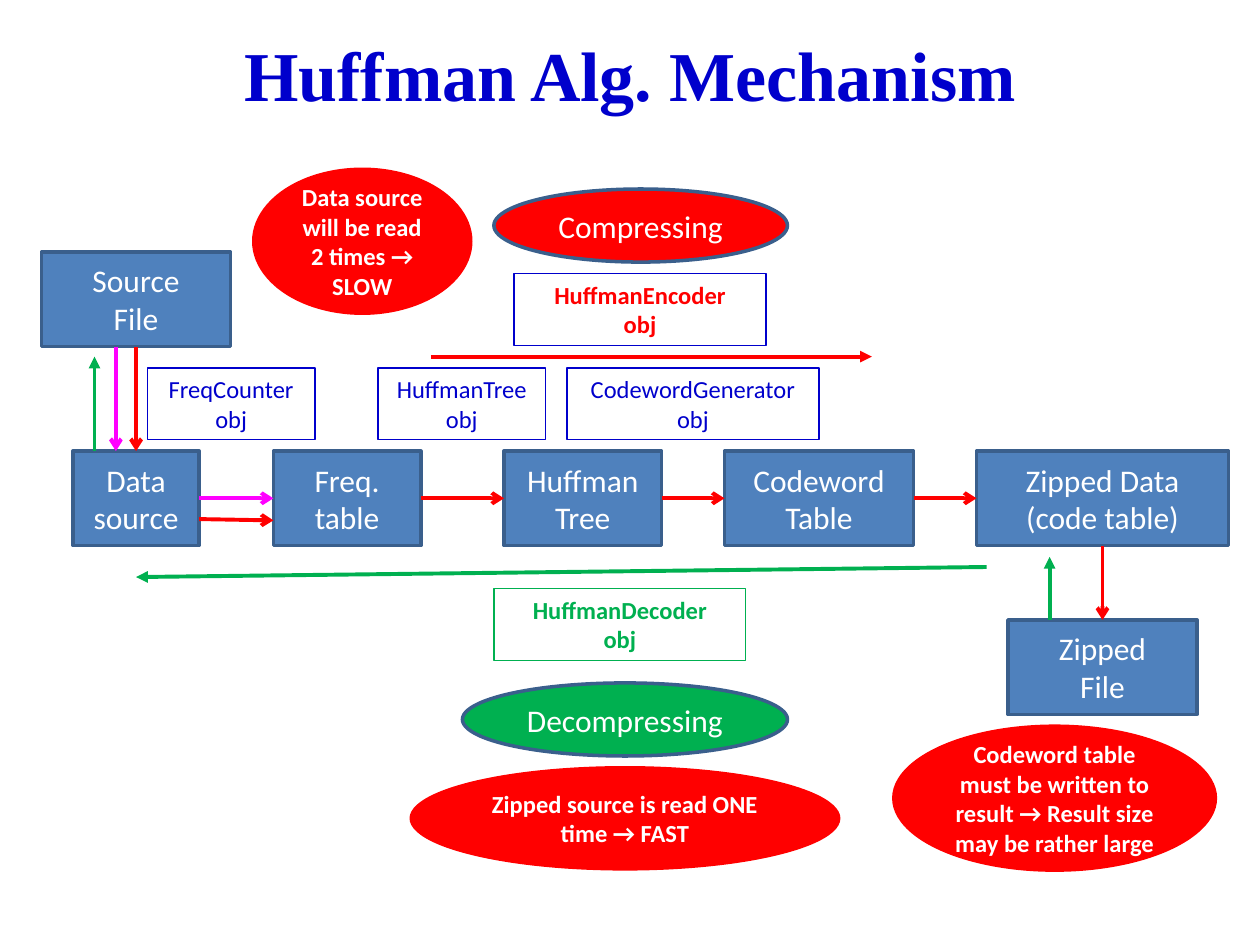
from lxml import etree
from pptx import Presentation
from pptx.dml.color import RGBColor
from pptx.enum.shapes import MSO_CONNECTOR, MSO_SHAPE
from pptx.enum.text import MSO_ANCHOR, MSO_AUTO_SIZE, PP_ALIGN
from pptx.oxml.ns import qn
from pptx.util import Inches, Pt

RECT, OVAL = MSO_SHAPE.RECTANGLE, MSO_SHAPE.OVAL
STRAIGHT = MSO_CONNECTOR.STRAIGHT
MIDDLE, CENTER = MSO_ANCHOR.MIDDLE, PP_ALIGN.CENTER
FIT = MSO_AUTO_SIZE.SHAPE_TO_FIT_TEXT
TOP, LEFT, BOTTOM, RIGHT = range(4)

WHITE = RGBColor(0xFF, 0xFF, 0xFF)
NAVY = RGBColor(0x00, 0x00, 0xCC)
STEEL = RGBColor(0x4F, 0x81, 0xBD)
EDGE = RGBColor(0x3A, 0x5F, 0x8C)
RED = RGBColor(0xFF, 0x00, 0x00)
GREEN = RGBColor(0x00, 0xB0, 0x50)
PINK = RGBColor(0xFF, 0x00, 0xFF)

ROW = 3.58
HIGH = 0.75


def write(frame, text, size, color, bold=False, font="Calibri"):
    """Fill a text frame with centred, uniformly formatted text."""
    frame.text = text
    frame.word_wrap = True
    for para in frame.paragraphs:
        para.alignment = CENTER
        for run in para.runs:
            run.font.name = font
            run.font.size = Pt(size)
            run.font.bold = bold
            run.font.color.rgb = color


def add_title(slide, text):
    """Place and format the title."""
    title = slide.shapes.title
    title.left, title.top = Inches(0.5), Inches(0.08)
    title.width, title.height = Inches(9), Inches(1)
    title.text_frame.vertical_anchor = MIDDLE
    write(title.text_frame, text, 40, NAVY, True, "Times New Roman")


def add_node(slide, kind, text, box, fill, edge=EDGE, size=18, bold=False):
    """Add a filled shape with white text."""
    node = slide.shapes.add_shape(kind, *map(Inches, box))
    node.shadow.inherit = False
    node.fill.solid()
    node.fill.fore_color.rgb = fill
    if edge is None:
        node.line.fill.background()
    else:
        node.line.color.rgb = edge
        node.line.width = Pt(2)
    node.text_frame.vertical_anchor = MIDDLE
    write(node.text_frame, text, size, WHITE, bold)
    return node


def add_block(slide, text, left, top, width):
    """Add a blue data block."""
    return add_node(slide, RECT, text, (left, top, width, HIGH), STEEL)


def add_note(slide, text, box):
    """Add a red remark without outline."""
    add_node(slide, OVAL, text, box, RED, None, 14, True)


def add_label(slide, text, left, top, width, edge, color, bold=False):
    """Add an outlined label that names an object."""
    label = slide.shapes.add_textbox(
        Inches(left), Inches(top), Inches(width), Inches(0.57))
    label.line.color.rgb = edge
    label.line.width = Pt(0.75)
    write(label.text_frame, text, 14, color, bold)
    label.text_frame.auto_size = FIT


def add_arrow(slide, start, end, color, tip="triangle"):
    """Add an arrow that points at its end."""
    arrow = slide.shapes.add_connector(
        STRAIGHT, *map(Inches, (*start, *end)))
    arrow.line.color.rgb = color
    arrow.line.width = Pt(2.25)
    line = arrow.line._get_or_add_ln()
    etree.SubElement(line, qn("a:tailEnd"), type=tip)
    etree.SubElement(arrow._element.spPr, qn("a:effectLst"))
    return arrow


def link(slide, first, last, color, sides=(RIGHT, LEFT)):
    """Join two blocks with an open arrow."""
    arrow = add_arrow(slide, (0, 0), (0, 0), color, "arrow")
    arrow.begin_connect(first, sides[0])
    arrow.end_connect(last, sides[1])


def main():
    """Build the slide and save it."""
    deck = Presentation()
    deck.slide_width, deck.slide_height = Inches(10), Inches(7.5)
    slide = deck.slides.add_slide(deck.slide_layouts[5])
    add_title(slide, "Huffman Alg. Mechanism")

    chain = [add_block(slide, text, left, ROW, width) for text, left, width in (
        ("Data source", 0.58, 1),
        ("Freq. table", 2.17, 1.17),
        ("Huffman Tree", 4, 1.25),
        ("Codeword\nTable", 5.75, 1.5),
        ("Zipped Data\n(code table)", 7.75, 2),
    )]
    zipped = add_block(slide, "Zipped\nFile", 8, 4.92, 1.5)
    source = add_block(slide, "Source\nFile", 0.33, 2, 1.5)

    add_node(slide, OVAL, "Compressing", (3.92, 1.5, 2.33, 0.58), RED)
    add_node(slide, OVAL, "Decompressing", (3.67, 5.42, 2.58, 0.58), GREEN)

    for text, left, width in (
        ("FreqCounter obj", 1.17, 1.33),
        ("HuffmanTree\nobj", 3, 1.33),
        ("CodewordGenerator\nobj", 4.5, 2),
    ):
        add_label(slide, text, left, 2.92, width, NAVY, NAVY)
    add_label(slide, "HuffmanEncoder\nobj", 4.08, 2.17, 2, NAVY, RED, True)
    add_label(slide, "HuffmanDecoder\nobj", 3.92, 4.67, 2, GREEN, GREEN, True)

    colors = (PINK, RED, RED, RED)
    for first, last, color in zip(chain, chain[1:], colors):
        link(slide, first, last, color)
    link(slide, source, chain[0], RED, (BOTTOM, TOP))
    link(slide, chain[-1], zipped, RED, (BOTTOM, TOP))
    add_arrow(slide, (0.92, 2.75), (0.92, ROW), PINK, "arrow")
    add_arrow(slide, (1.58, 4.12), (2.17, 4.13), RED, "arrow")

    add_arrow(slide, (3.42, 2.83), (6.92, 2.83), RED)
    for start, end in (
        ((7.83, 4.5), (1.08, 4.58)),
        ((0.75, ROW), (0.75, 2.83)),
        ((8.33, 4.92), (8.33, 4.42)),
    ):
        add_arrow(slide, start, end, GREEN)

    add_note(slide, "Data source will be read 2 times → SLOW",
             (2, 1.33, 1.75, 1.17))
    add_note(slide, "Codeword table must be written to result → "
             "Result size may be rather large", (7.08, 5.75, 2.58, 1.17))
    add_note(slide, "Zipped source is read ONE time → FAST",
             (3.25, 6.08, 3.42, 0.83))
    deck.save("out.pptx")


if __name__ == "__main__":
    main()
